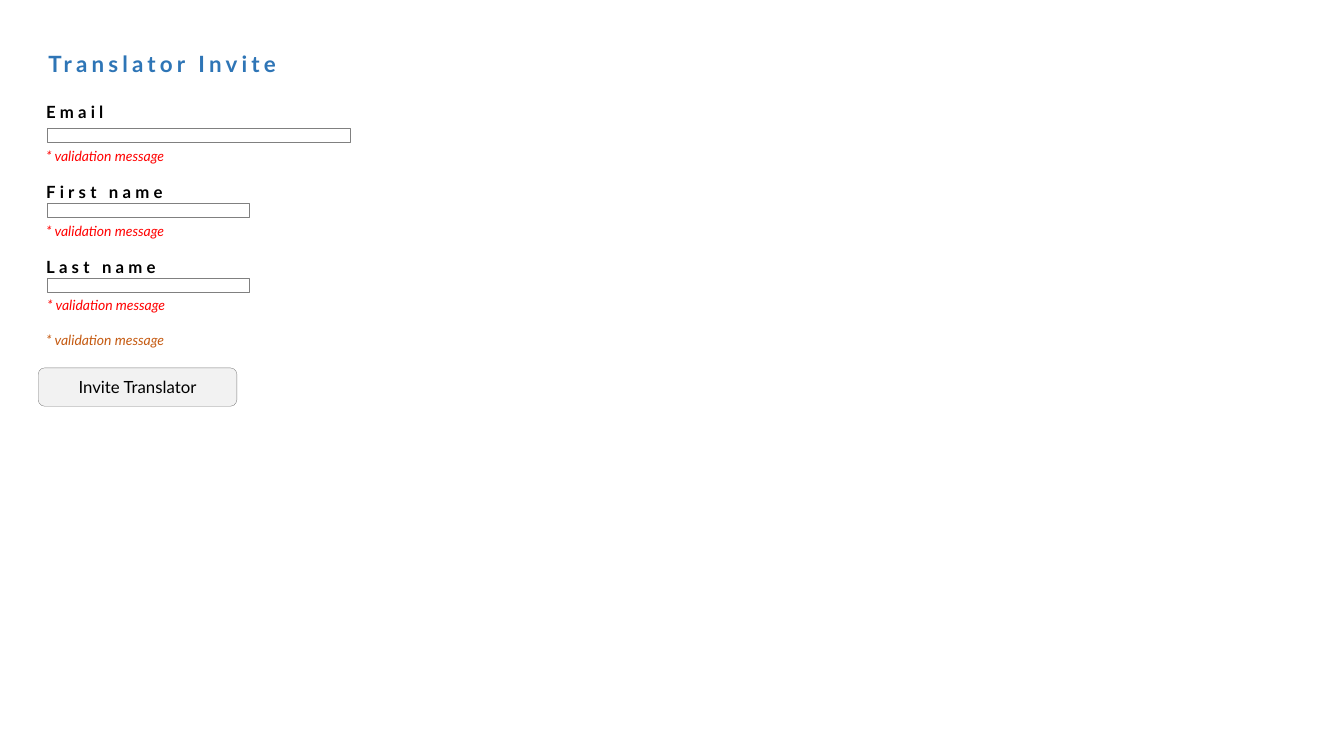
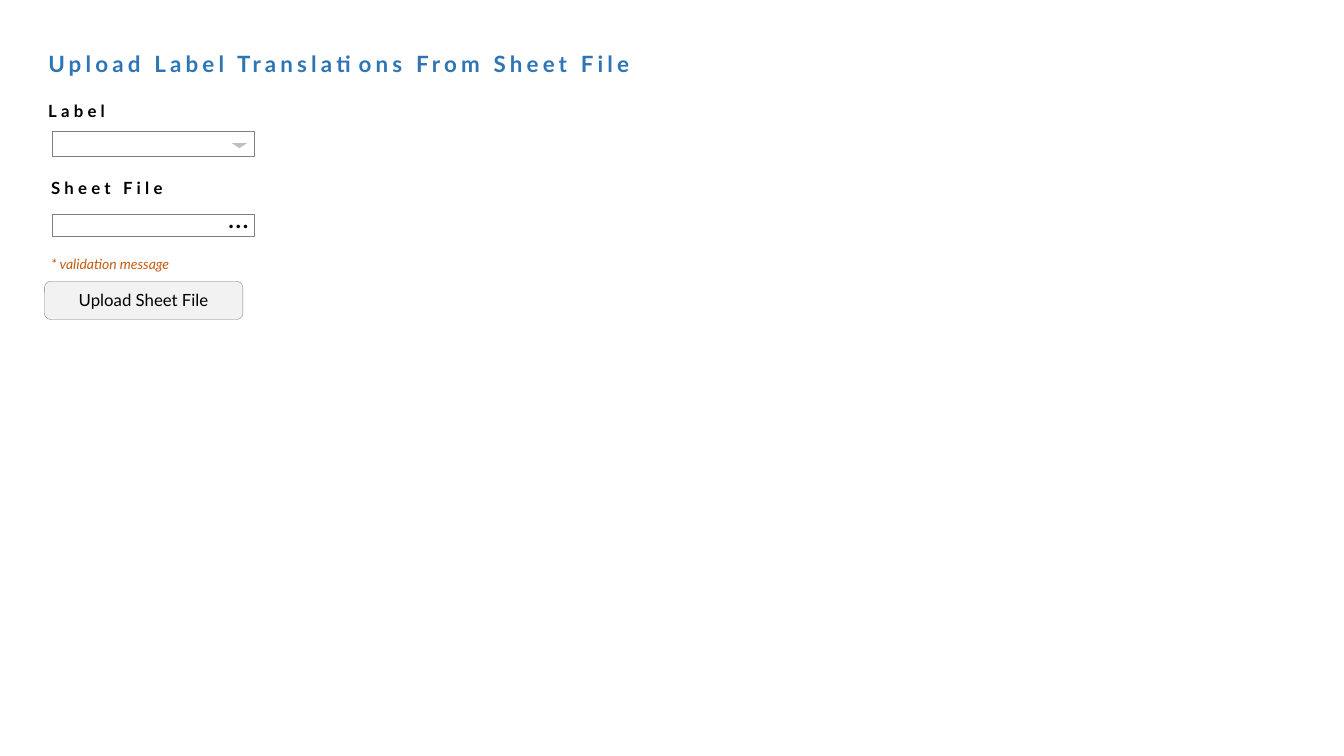
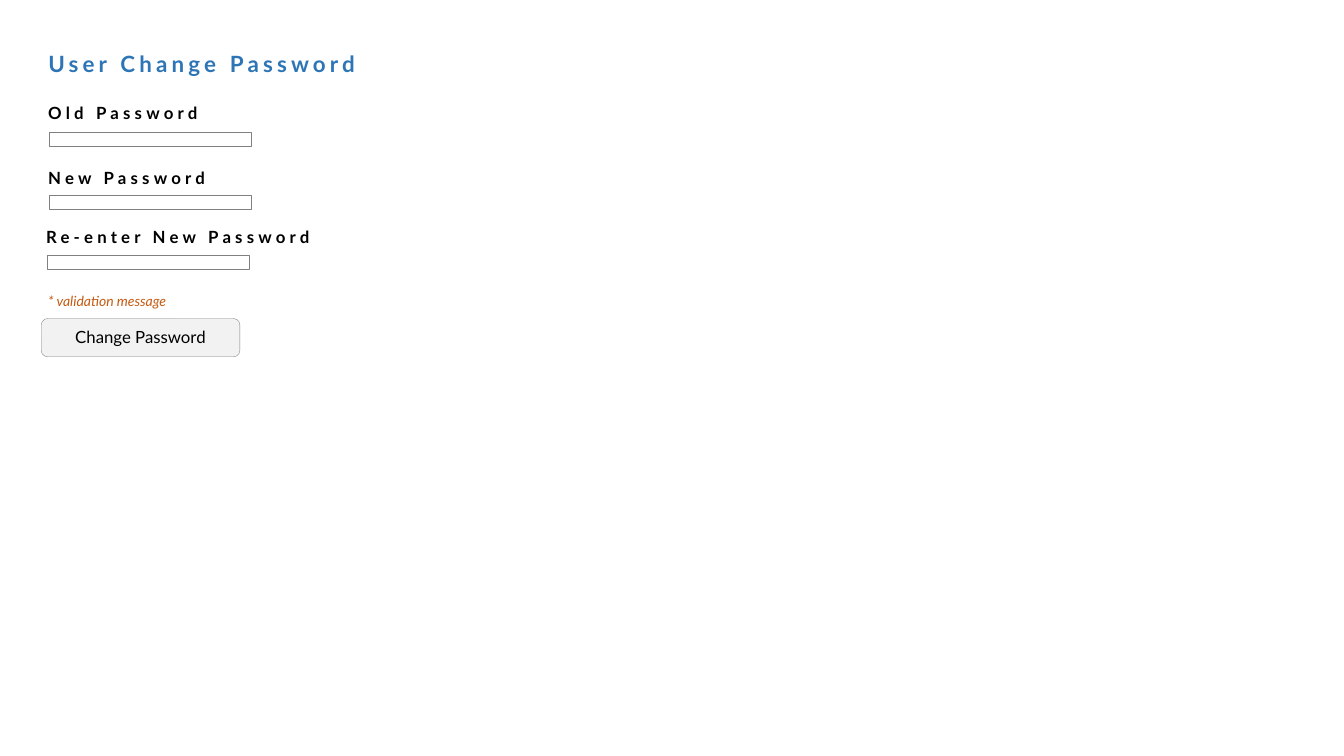
from pptx import Presentation
from pptx.dml.color import RGBColor
from pptx.enum.shapes import MSO_SHAPE
from pptx.enum.text import MSO_ANCHOR, MSO_AUTO_SIZE, PP_ALIGN
from pptx.util import Inches, Pt

# Grid: square cells, a tenth of an inch each
CELL = Inches(0.1)
COLS, ROWS = 133.33, 75

# Shared style
FONT = "Lato"
BLUE, BLACK, RED, RUST = "2E75B6", "000000", "FF0000", "C55A11"
WHITE, PALE, SILVER, GREY = "FFFFFF", "F2F2F2", "BFBFBF", "808080"
PAD = (1, 0.2, 1, 0.3)
LEFT, MID, RIGHT = PP_ALIGN.LEFT, PP_ALIGN.CENTER, PP_ALIGN.RIGHT
TITLE = dict(size=16, color=BLUE, bold=True, gap=3)
LABEL = dict(size=12, color=BLACK, bold=True, gap=3)


def paint(part, color):
    """Give a fill or a font one solid colour."""
    if hasattr(part, "solid"):
        part.solid()
        part = part.fore_color
    else:
        part = part.color
    part.rgb = RGBColor.from_string(color)


def write(shape, text, size, color, bold=False, italic=False, gap=0,
          align=LEFT, pad=PAD, anchor=MSO_ANCHOR.MIDDLE, wrap=True):
    """Set one styled line of text in a shape."""
    frame = shape.text_frame
    frame.word_wrap, frame.auto_size = wrap, MSO_AUTO_SIZE.NONE
    frame.vertical_anchor = anchor
    (frame.margin_left, frame.margin_top,
     frame.margin_right, frame.margin_bottom) = [int(n * CELL) for n in pad]
    line = frame.paragraphs[0]
    line.alignment = align
    run = line.add_run()
    run.text = text
    font = run.font
    font.name, font.size, font.bold, font.italic = FONT, Pt(size), bold, italic
    paint(font, color)
    if gap:
        run._r.get_or_add_rPr().set("spc", str(gap * 100))


# Forms: title and its width; fields (label, left, top; box left, top, width,
# height; mark); notes (left, top, colour); button (text, left, top)
FORMS = [
    ("Translator Invite", 30,
     [("Email", 3.6, 9.9, 4.7, 12.7, 30, 1.4, None),
      ("First name", 3.6, 17.8, 4.7, 20.2, 20, 1.4, None),
      ("Last name", 3.6, 25.3, 4.7, 27.6, 20, 1.4, None)],
     [(3.6, 14.4, RED), (3.6, 21.9, RED), (3.7, 29.2, RED), (3.6, 32.7, RUST)],
     ("Invite Translator", 3.8, 36.5)),
    ("Upload Label Translations From Sheet File", 84,
     [("Label", 3.8, 9.8, 5.2, 13, 20, 2.5, "drop"),
      ("Sheet File", 4.1, 17.4, 5.2, 21.2, 20, 2.2, "browse")],
     [(4.1, 25.1, RUST)],
     ("Upload Sheet File", 4.4, 27.9)),
    ("User Change Password", 43.6,
     [("Old Password", 3.8, 10, 4.9, 13.1, 20, 1.4, None),
      ("New Password", 3.8, 16.4, 4.9, 19.4, 20, 1.4, None),
      ("Re-enter New Password", 3.6, 22.3, 4.7, 25.3, 20, 1.4, None)],
     [(3.8, 28.8, RUST)],
     ("Change Password", 4.1, 31.6)),
]

deck = Presentation()
deck.slide_width, deck.slide_height = int(COLS * CELL), ROWS * CELL

for head, span, fields, notes, (name, left, top) in FORMS:
    slide = deck.slides.add_slide(deck.slide_layouts[5])
    shapes = slide.shapes
    paint(slide.background.fill, WHITE)

    # Title
    title = shapes.title
    title.left, title.top, title.width, title.height = [
        int(n * CELL) for n in (3.8, 4.8, span, 3.2)]
    write(title, head, **TITLE)

    # Labels and messages
    lines = [(text, x, y, 2.5, LABEL) for text, x, y, *_ in fields]
    lines += [("* validation message", x, y, 2.2,
               dict(size=10, color=color, italic=True))
              for x, y, color in notes]
    for text, x, y, high, style in lines:
        box = shapes.add_textbox(*[int(n * CELL) for n in (x, y, 30, high)])
        write(box, text, **style)

    # Input boxes, their marks and the button
    parts = [(MSO_SHAPE.ROUNDED_RECTANGLE, left, top, 19.7, 3.8, PALE, name)]
    for *_, x, y, wide, high, mark in fields:
        parts.append((MSO_SHAPE.RECTANGLE, x, y, wide, high, WHITE, mark))
        if mark == "drop":
            parts.append((MSO_SHAPE.ISOSCELES_TRIANGLE, x + wide - 2.2,
                          y + 1.2, 1.5, 0.5, SILVER, None))
    for kind, x, y, wide, high, color, text in parts:
        shape = shapes.add_shape(
            kind, *[int(n * CELL) for n in (x, y, wide, high)])
        shape.shadow.inherit = False
        paint(shape.fill, color)
        if kind == MSO_SHAPE.ISOSCELES_TRIANGLE:
            shape.rotation = 180
            shape.line.fill.background()
        else:
            paint(shape.line.fill, GREY)
            shape.line.width = Pt(0.25)
        if text == "browse":
            write(shape, "…", 20, BLACK, align=RIGHT, pad=(0.5, 0.2, 0.5, 0.2),
                  anchor=MSO_ANCHOR.BOTTOM, wrap=False)
        elif text == name:
            write(shape, name, 12, BLACK, align=MID, pad=(1, 0, 1, 0.1))

deck.save("out.pptx")
